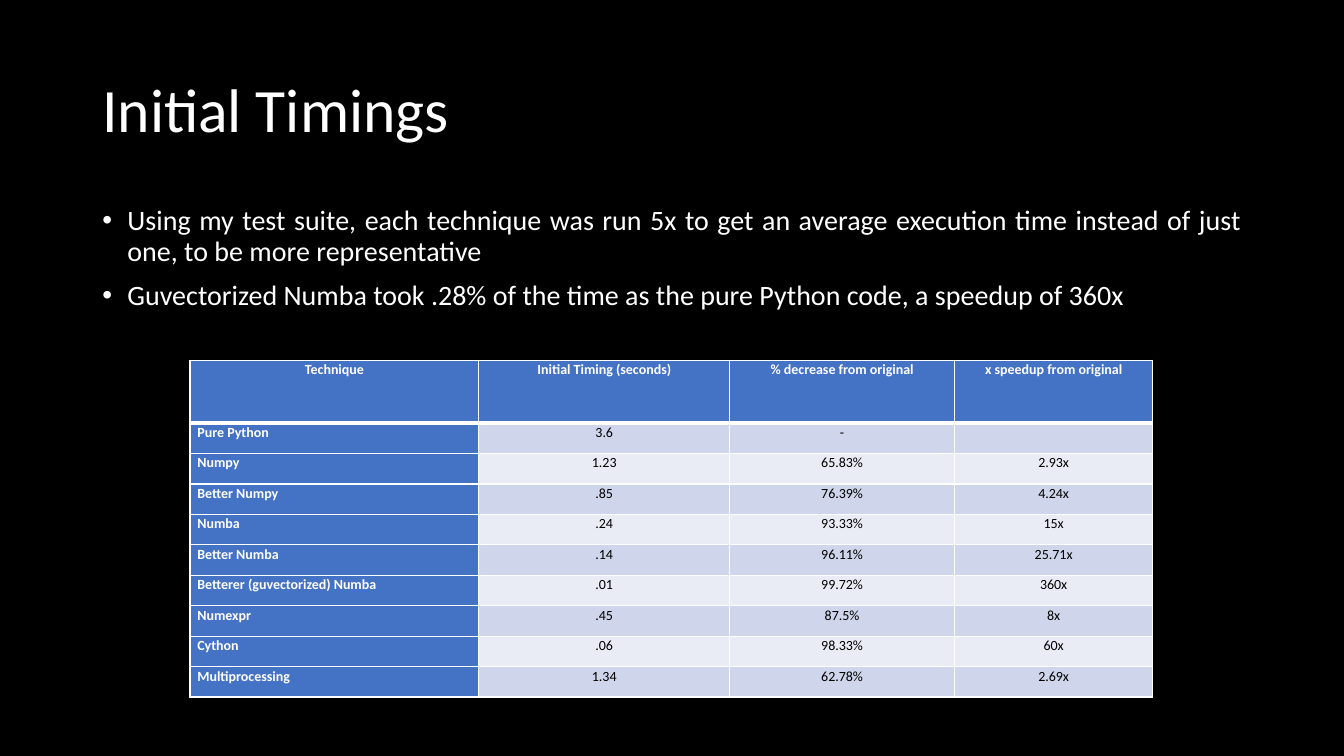
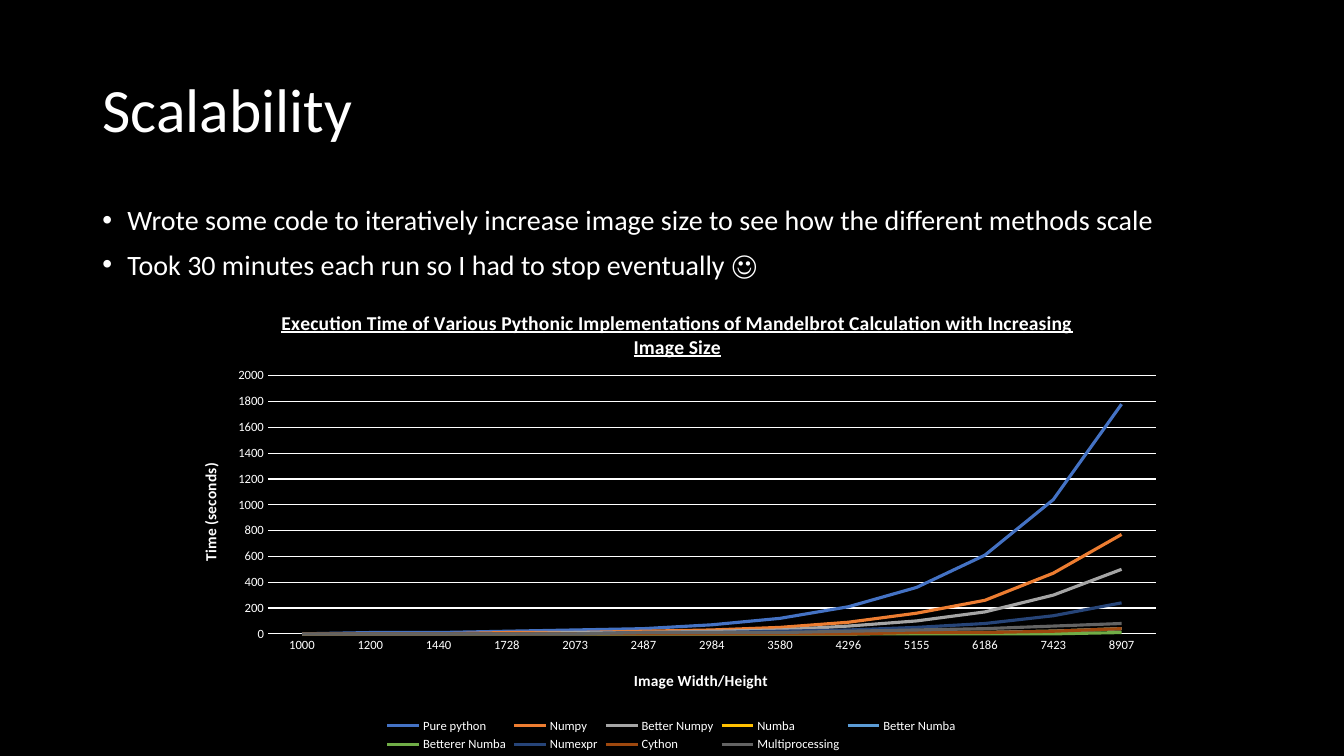
"""Build two dark slides on timings and scalability of Python techniques."""
from lxml.etree import Element, SubElement as Sub
from pptx import Presentation
from pptx.chart.data import CategoryChartData as Data
from pptx.dml.color import RGBColor
from pptx.enum.chart import XL_CHART_TYPE as Kind, XL_LEGEND_POSITION as Spot, XL_TICK_MARK as Tick
from pptx.enum.text import MSO_ANCHOR as Anchor, PP_ALIGN as Align
from pptx.oxml.ns import qn
from pptx.util import Pt

PX = 9525


class Theme:
    face = "Calibri"
    back, ink, dark = "000000", "FFFFFF", "000000"
    head, bands = "4472C4", ("E9EBF5", "CFD5EA")
    lines = ("4472C4", "ED7D31", "A5A5A5", "FFC000", "5B9BD5",
             "70AD47", "264478", "9E480E", "636363")
    title, body, cell, tick, axis, chart = 44, 20, 10, 9, 11, 14


def tune(font, size, tone=Theme.ink, **extra):
    for key, val in {"name": Theme.face, "size": Pt(size), **extra}.items():
        setattr(font, key, val)
    font.color.rgb = RGBColor.from_string(tone)


def write(par, text, size, tone=Theme.ink, bold=False, **form):
    for key, val in form.items():
        setattr(par, key, val)
    if text:
        run = par.add_run()
        run.text = text
        tune(run.font, size, tone, bold=bold)
    else:
        Sub(par._p, qn("a:endParaRPr"), sz=str(size * 100))


deck = Presentation()
deck.slide_width, deck.slide_height = 1280 * PX, 720 * PX

pages = [
    ("Initial Timings", Align.JUSTIFY, [
        "Using my test suite, each technique was run 5x to get an average "
        "execution time instead of just one, to be more representative",
        "Guvectorized Numba took .28% of the time as the pure Python code, a speedup of 360x",
    ]),
    ("Scalability", Align.LEFT, [
        "Wrote some code to iteratively increase image size to see how the different methods scale",
        "Took 30 minutes each run so I had to stop eventually ☺",
    ]),
]
slides = []
for name, align, points in pages:
    slide = deck.slides.add_slide(deck.slide_layouts[6])
    slides.append(slide)
    fill = slide.background.fill
    fill.solid()
    fill.fore_color.rgb = RGBColor.from_string(Theme.back)
    frames = []
    for top, high, anchor in ((38, 139, Anchor.MIDDLE), (192, 457, Anchor.TOP)):
        box = slide.shapes.add_textbox(88 * PX, top * PX, 1104 * PX, high * PX)
        frame = box.text_frame
        frame.word_wrap, frame.vertical_anchor = True, anchor
        frames.append(frame)
    write(frames[0].paragraphs[0], name, Theme.title, line_spacing=0.9)
    for num, point in enumerate(points):
        par = frames[1].add_paragraph() if num else frames[1].paragraphs[0]
        write(par, point, Theme.body, alignment=align, line_spacing=0.9, space_before=Pt(10))
        props = par._p.get_or_add_pPr()
        for key, val in {"marL": 24 * PX, "indent": -24 * PX}.items():
            props.set(key, str(val))
        Sub(props, qn("a:buFont"), typeface="Arial")
        Sub(props, qn("a:buChar"), char="•")

rows = [
    ("Technique", "Initial Timing (seconds)", "% decrease from original", "x speedup from original"),
    ("Pure Python", "3.6", "-", ""),
    ("Numpy", "1.23", "65.83%", "2.93x"),
    ("Better Numpy", ".85", "76.39%", "4.24x"),
    ("Numba", ".24", "93.33%", "15x"),
    ("Better Numba", ".14", "96.11%", "25.71x"),
    ("Betterer (guvectorized) Numba", ".01", "99.72%", "360x"),
    ("Numexpr", ".45", "87.5%", "8x"),
    ("Cython", ".06", "98.33%", "60x"),
    ("Multiprocessing", "1.34", "62.78%", "2.69x"),
]
wides = (275, 239, 214, 189)
table = slides[0].shapes.add_table(
    len(rows), len(wides), 181 * PX, 343 * PX, sum(wides) * PX, 321 * PX).table
for col, wide in zip(table.columns, wides):
    col.width = wide * PX
for r, row in enumerate(rows):
    table.rows[r].height = (29 if r else 60) * PX
    for c, text in enumerate(row):
        cell = table.cell(r, c)
        key = r == 0 or c == 0
        for side, gap in {"left": 7, "right": 7, "top": 0, "bottom": 0}.items():
            setattr(cell, "margin_" + side, gap * PX)
        props = cell._tc.get_or_add_tcPr()
        for side in "LRTB":
            thick = (r, side) in ((0, "B"), (1, "T"))
            line = Sub(props, qn("a:ln" + side), w=str(Pt(3 if thick else 1)))
            Sub(Sub(line, qn("a:solidFill")), qn("a:srgbClr"), val=Theme.ink)
        cell.fill.solid()
        cell.fill.fore_color.rgb = RGBColor.from_string(Theme.head if key else Theme.bands[r % 2])
        write(cell.text_frame.paragraphs[0], text, Theme.cell, Theme.ink if key else Theme.dark, key,
              alignment=Align.JUSTIFY if r and c == 0 else Align.CENTER, line_spacing=1.07)

data = Data()
data.categories = ["1000", "1200", "1440", "1728", "2073", "2487", "2984",
                   "3580", "4296", "5155", "6186", "7423", "8907"]
for name, vals in {
    "Pure python": (0, 10, 10, 20, 30, 40, 70, 120, 210, 360, 610, 1040, 1780),
    "Numpy": (0, 0, 0, 10, 10, 20, 30, 50, 90, 160, 260, 470, 770),
    "Better Numpy": (0, 0, 0, 0, 10, 10, 20, 30, 60, 100, 170, 300, 500),
    "Numba": (0, 0, 0, 0, 0, 0, 0, 0, 0, 10, 10, 20, 40),
    "Better Numba": (0, 0, 0, 0, 0, 0, 0, 0, 0, 10, 10, 20, 40),
    "Betterer Numba": (0, 0, 0, 0, 0, 0, 0, 0, 0, 0, 0, 0, 10),
    "Numexpr": (0, 0, 0, 0, 0, 10, 10, 20, 30, 50, 80, 140, 240),
    "Cython": (0, 0, 0, 0, 0, 0, 0, 0, 0, 10, 10, 20, 40),
    "Multiprocessing": (0, 0, 0, 0, 0, 10, 10, 10, 20, 30, 40, 60, 80),
}.items():
    data.add_series(name, vals)
chart = slides[1].shapes.add_chart(
    Kind.LINE, 159 * PX, 273 * PX, 961 * PX, 447 * PX, data).chart
tune(chart.font, Theme.cell)
chart.has_legend = True
chart.legend.position, chart.legend.include_in_layout = Spot.BOTTOM, False
tune(chart.legend.font, Theme.tick)
chart.plots[0].vary_by_categories = False
for line, tone in zip(chart.plots[0].series, Theme.lines):
    line.smooth = False
    line.format.line.width = Pt(2.25)
    line.format.line.color.rgb = RGBColor.from_string(tone)

cat, val = chart.category_axis, chart.value_axis
for axis in (cat, val):
    axis.major_tick_mark = axis.minor_tick_mark = Tick.NONE
    tune(axis.tick_labels.font, Theme.tick)
val.maximum_scale, val.minimum_scale, val.major_unit = 2000, 0, 200
val.format.line.fill.background()
for part in (cat, val.major_gridlines):
    part.format.line.width = Pt(0.75)
    part.format.line.color.rgb = RGBColor.from_string(Theme.ink)

spots = [(chart.element.find(".//" + qn("c:plotArea")), 0, {"x": 0.1, "y": 0.19, "w": 0.88, "h": 0.55})]
for title, text, size, under, x, y in (
    (chart.chart_title, "Execution Time of Various Pythonic Implementations of Mandelbrot "
     "Calculation with Increasing Image Size", Theme.chart, True, 0.11, 0.04),
    (cat.axis_title, "Image Width/Height", Theme.axis, False, 0.46, 0.81),
    (val.axis_title, "Time (seconds)", Theme.axis, False, 0.03, 0.37),
):
    par = title.text_frame.paragraphs[0]
    write(par, text, size, bold=True)
    par.runs[0].font.underline = under
    spots.append((title.element, 1, {"x": x, "y": y}))
for host, place, box in spots:
    for old in host.findall(qn("c:layout")):
        host.remove(old)
    layout = Element(qn("c:layout"))
    host.insert(place, layout)
    manual = Sub(layout, qn("c:manualLayout"))
    if "w" in box:
        Sub(manual, qn("c:layoutTarget"), val="inner")
    for axis in "xy":
        Sub(manual, qn(f"c:{axis}Mode"), val="edge")
    for key, part in box.items():
        Sub(manual, qn("c:" + key), val=str(part))

deck.save("out.pptx")
